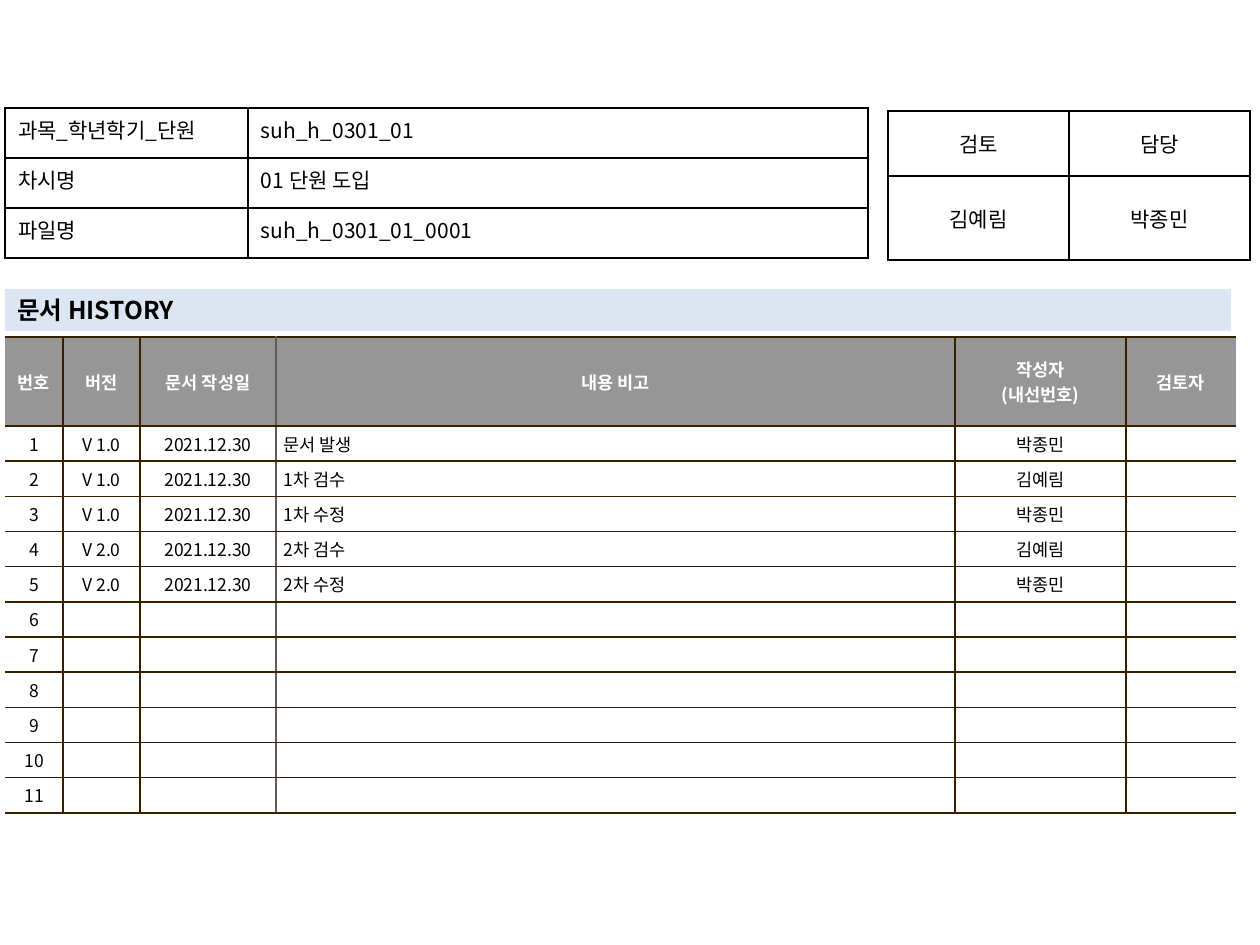
from lxml.etree import SubElement
from pptx import Presentation
from pptx.dml.color import RGBColor
from pptx.enum.shapes import MSO_SHAPE
from pptx.enum.text import MSO_ANCHOR, PP_ALIGN
from pptx.oxml.ns import qn
from pptx.util import Pt

SCALE = 914400 // 126
FONT = "Noto Sans CJK KR"
COLORS = {
    "black": "000000",
    "white": "FFFFFF",
    "band": "DCE6F2",
    "header": "969696",
    "rule": "362000",
    "soft_rule": "645B4C",
}
LEFT, CENTER, JUSTIFY = PP_ALIGN.LEFT, PP_ALIGN.CENTER, PP_ALIGN.JUSTIFY
HISTORY_HEADER = ["번호", "버전", "문서 작성일", "내용 비고", "작성자\n(내선번호)", "검토자"]
HISTORY = [
    ("V 1.0", "문서 발생", "박종민"),
    ("V 1.0", "1차 검수", "김예림"),
    ("V 1.0", "1차 수정", "박종민"),
    ("V 2.0", "2차 검수", "김예림"),
    ("V 2.0", "2차 수정", "박종민"),
]
HISTORY_DATE = "2021.12.30"
HISTORY_ROWS = 11
NOTE_COL = 3


def px(n):
    return n * SCALE


def rgb(name):
    return RGBColor.from_string(COLORS[name])


def write(tf, text, size, color="black", bold=False, align=LEFT, hanging=0):
    for i, line in enumerate(text.split("\n")):
        p = tf.paragraphs[0] if i == 0 else tf.add_paragraph()
        p.alignment = align
        if hanging:
            pPr = p._p.get_or_add_pPr()
            pPr.set("marL", str(px(hanging)))
            pPr.set("indent", str(-px(hanging)))
        if not line:
            SubElement(p._p, qn("a:endParaRPr"), sz=str(size * 100))
            continue
        r = p.add_run()
        r.text = line
        r.font.size = Pt(size)
        r.font.bold = bold
        r.font.name = FONT
        r.font.color.rgb = rgb(color)
        SubElement(r._r.get_or_add_rPr(), qn("a:ea"), typeface=FONT)


def set_borders(cell, borders):
    tcPr = cell._tc.get_or_add_tcPr()
    for side in "LRTB":
        color = borders.get(side)
        ln = SubElement(tcPr, qn(f"a:ln{side}"), w=str(Pt(1)))
        if color:
            fill = SubElement(ln, qn("a:solidFill"))
            SubElement(fill, qn("a:srgbClr"), val=COLORS[color])
        else:
            SubElement(ln, qn("a:noFill"))


def format_cell(cell, borders, inset, fill=None, anchor=MSO_ANCHOR.MIDDLE):
    set_borders(cell, borders)
    cell.margin_left = cell.margin_right = px(inset[0])
    cell.margin_top = cell.margin_bottom = px(inset[1])
    cell.vertical_anchor = anchor
    if fill:
        cell.fill.solid()
        cell.fill.fore_color.rgb = rgb(fill)
    else:
        cell.fill.background()


def add_grid(s, left, top, widths, heights):
    tbl = s.shapes.add_table(len(heights), len(widths), px(left), px(top),
                             px(sum(widths)), px(sum(heights))).table
    tbl.first_row = tbl.horz_banding = False
    for col, width in zip(tbl.columns, widths):
        col.width = px(width)
    for row, height in zip(tbl.rows, heights):
        row.height = px(height)
    return tbl


def add_boxed_table(s, left, top, widths, heights, rows, aligns, anchor):
    tbl = add_grid(s, left, top, widths, heights)
    for i, texts in enumerate(rows):
        for j, text in enumerate(texts):
            cell = tbl.cell(i, j)
            format_cell(cell, dict.fromkeys("LRTB", "black"), (13, 6), anchor=anchor)
            write(cell.text_frame, text, 12, align=aligns[j])


def history_rows():
    yield HISTORY_HEADER
    for n in range(1, HISTORY_ROWS + 1):
        if n <= len(HISTORY):
            version, note, author = HISTORY[n - 1]
            yield [str(n), version, HISTORY_DATE, note, author, ""]
        else:
            yield [str(n)] + [""] * (len(HISTORY_HEADER) - 1)


def history_borders(col):
    borders = dict.fromkeys("LRTB", "rule")
    if col == 0:
        del borders["L"]
    if col == len(HISTORY_HEADER) - 1:
        del borders["R"]
    if col == NOTE_COL - 1:
        borders["R"] = "soft_rule"
    if col == NOTE_COL:
        borders["L"] = "soft_rule"
    return borders


def add_history_table(s):
    tbl = add_grid(s, 5, 337, [58, 77, 136, 679, 171, 110], [89] + [31] * HISTORY_ROWS)
    for i, texts in enumerate(history_rows()):
        head = i == 0
        for j, text in enumerate(texts):
            cell = tbl.cell(i, j)
            format_cell(cell, history_borders(j), (8, 5), "header" if head else "white")
            note = j == NOTE_COL and not head
            write(cell.text_frame, text, 10, "white" if head else "black", head,
                  LEFT if note else CENTER, 24 if note else 0)


def add_title_band(s, text):
    sp = s.shapes.add_shape(MSO_SHAPE.RECTANGLE, px(5), px(289), px(1226), px(42))
    sp.shadow.inherit = False
    sp.fill.solid()
    sp.fill.fore_color.rgb = rgb("band")
    sp.line.fill.background()
    tf = sp.text_frame
    tf.word_wrap = True
    tf.vertical_anchor = MSO_ANCHOR.MIDDLE
    write(tf, text, 14, bold=True)


def main():
    prs = Presentation()
    prs.slide_width, prs.slide_height = px(1260), px(945)
    s = prs.slides.add_slide(prs.slide_layouts[6])
    add_history_table(s)
    add_boxed_table(s, 888, 111, [181] * 2, [65, 84],
                    [("검토", "담당"), ("김예림", "박종민")],
                    [CENTER, CENTER], MSO_ANCHOR.MIDDLE)
    add_title_band(s, "문서 HISTORY")
    add_boxed_table(s, 5, 108, [243, 620], [50] * 3,
                    [("과목_학년학기_단원", "suh_h_0301_01"),
                     ("차시명", "01 단원 도입"),
                     ("파일명", "suh_h_0301_01_0001")],
                    [JUSTIFY, LEFT], MSO_ANCHOR.TOP)
    prs.save("out.pptx")


if __name__ == "__main__":
    main()
